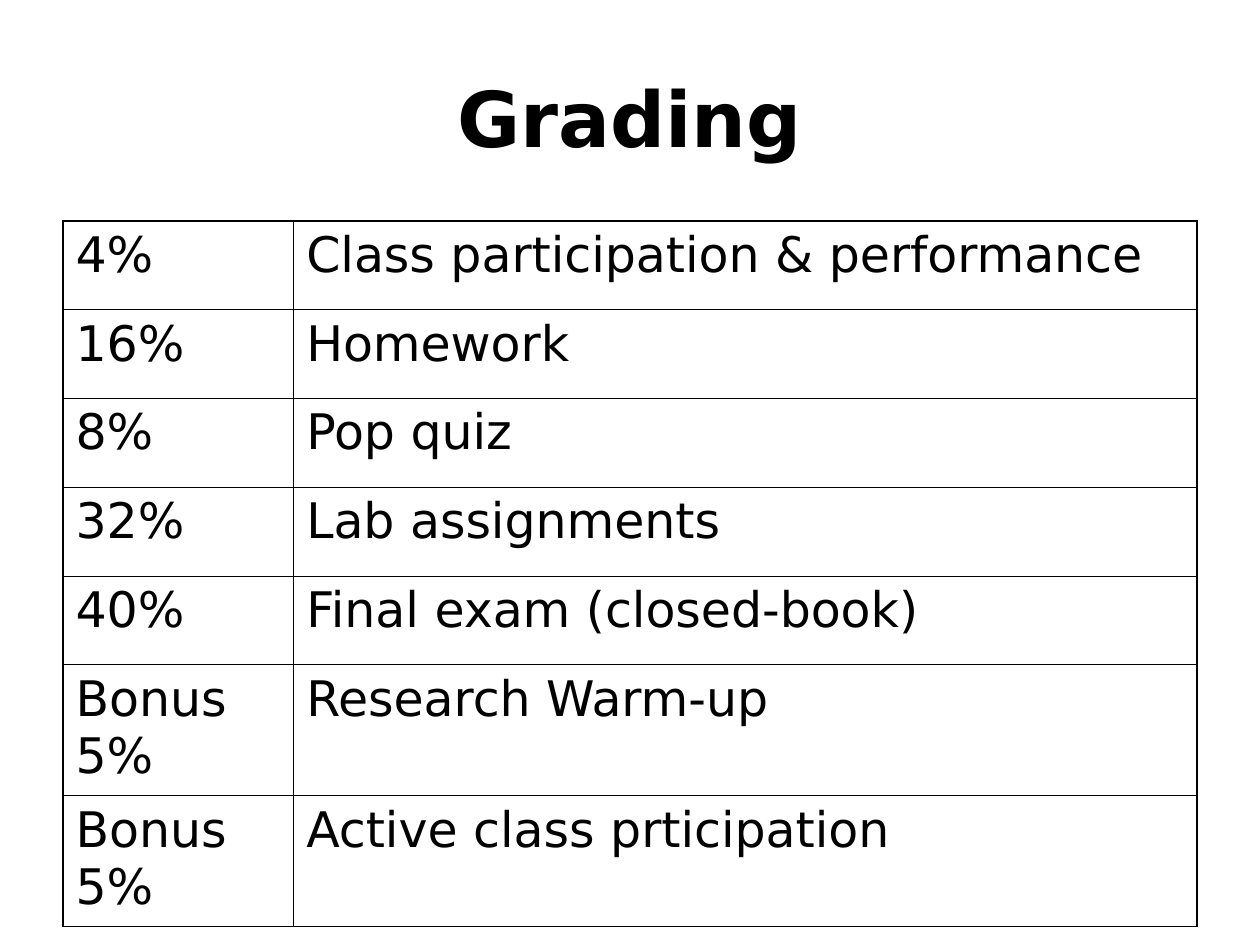
from dataclasses import dataclass

from lxml import etree
from pptx import Presentation
from pptx.dml.color import RGBColor
from pptx.enum import text as t
from pptx.oxml import ns
from pptx.util import Cm, Pt

COLOURS = {"ink": "000000"}
FONT = "DejaVu Sans"
OUTER_LINE, INNER_LINE = Pt(1.08), Pt(0.45)
COLUMN_WIDTHS = (Cm(4.65), Cm(18.21))
ONE_LINE, TWO_LINES = Cm(1.79), Cm(2.64)


@dataclass(frozen=True)
class GradeItem:
    weight: str
    activity: str
    height: int = ONE_LINE


GRADE_ITEMS = (
    GradeItem("4%", "Class participation & performance"),
    GradeItem("16%", "Homework"),
    GradeItem("8%", "Pop quiz"),
    GradeItem("32%", "Lab assignments"),
    GradeItem("40%", "Final exam (closed-book)"),
    GradeItem("Bonus 5%", "Research Warm-up", TWO_LINES),
    GradeItem("Bonus 5%", "Active class prticipation", TWO_LINES),
)


def write_text(frame, wording: str, *, size: int, bold: bool = False,
               align=t.PP_ALIGN.LEFT, colour: str = "ink") -> None:
    frame.word_wrap = True
    paragraph = frame.paragraphs[0]
    paragraph.alignment = align
    run = paragraph.add_run()
    run.text = wording
    run.font.name = FONT
    run.font.size = Pt(size)
    run.font.bold = bold
    run.font.color.rgb = RGBColor.from_string(COLOURS[colour])


def add_border(cell, side: str, width: int) -> None:
    """Append one cell border; side is L, R, T or B, called in that order."""
    properties = cell._tc.get_or_add_tcPr()
    line = etree.SubElement(properties, ns.qn(f"a:ln{side}"), w=str(int(width)))
    fill = etree.SubElement(line, ns.qn("a:solidFill"))
    etree.SubElement(fill, ns.qn("a:srgbClr"), val=COLOURS["ink"])


def add_title(slide, wording: str) -> None:
    title = slide.shapes.add_textbox(Cm(1.27), Cm(0.76), Cm(22.86), Cm(3.18))
    title.text_frame.vertical_anchor = t.MSO_ANCHOR.MIDDLE
    write_text(title.text_frame, wording, size=44, bold=True,
               align=t.PP_ALIGN.CENTER)


def add_grade_table(slide, items: tuple[GradeItem, ...]) -> None:
    grades = slide.shapes.add_table(
        len(items), len(COLUMN_WIDTHS), Cm(1.27), Cm(4.45),
        sum(COLUMN_WIDTHS), sum(item.height for item in items)).table
    grades.first_row = grades.horz_banding = False
    for column, width in zip(grades.columns, COLUMN_WIDTHS):
        column.width = width

    last_row, last_column = len(items) - 1, len(COLUMN_WIDTHS) - 1
    for r, item in enumerate(items):
        grades.rows[r].height = item.height
        for c, wording in enumerate((item.weight, item.activity)):
            cell = grades.cell(r, c)
            on_edge = {"L": c == 0, "R": c == last_column,
                       "T": r == 0, "B": r == last_row}
            for side, outer in on_edge.items():
                add_border(cell, side, OUTER_LINE if outer else INNER_LINE)
            cell.fill.background()
            write_text(cell.text_frame, wording, size=28)


def main() -> None:
    deck = Presentation()
    deck.slide_width, deck.slide_height = Cm(25.4), Cm(19.05)
    slide = deck.slides.add_slide(deck.slide_layouts[6])
    add_title(slide, "Grading")
    add_grade_table(slide, GRADE_ITEMS)
    deck.save("out.pptx")


if __name__ == "__main__":
    main()
